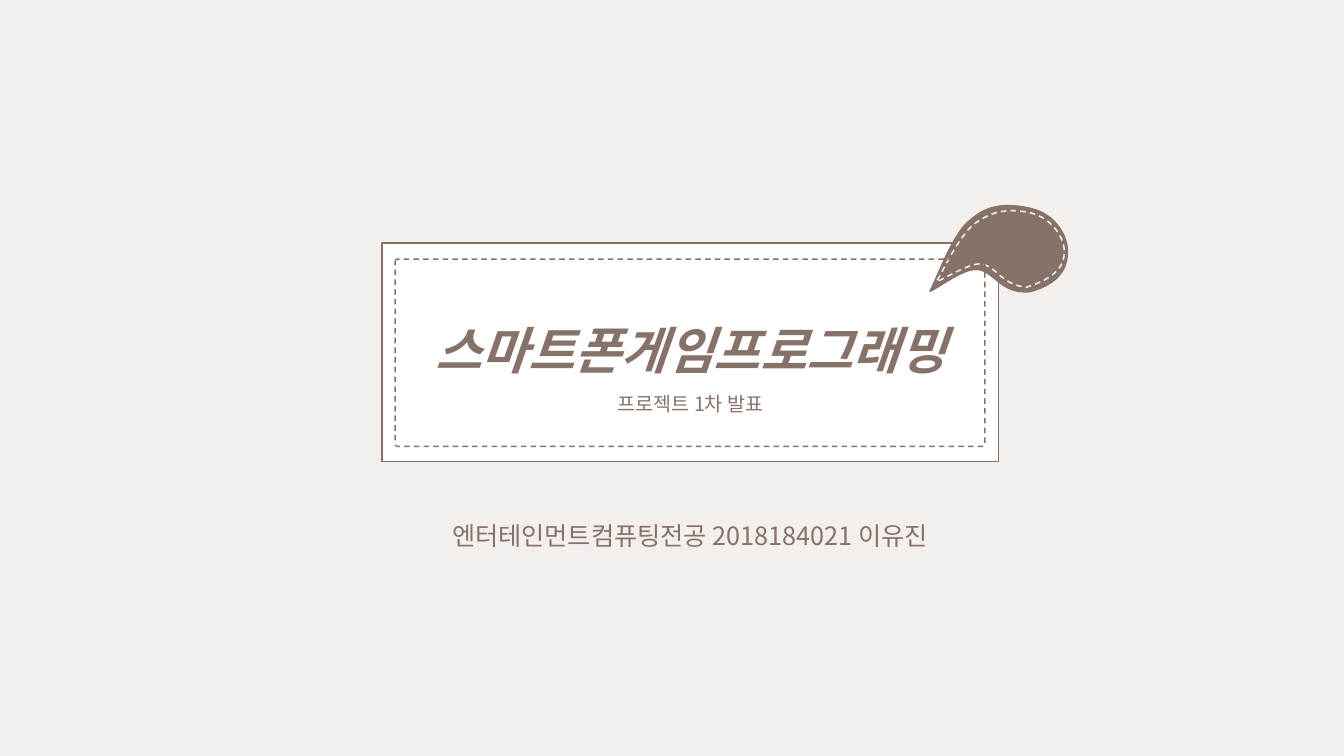
"""Build the title slide of a smartphone game programming talk."""
import pptx
import pptx.util
import pptx.dml.color
import pptx.enum.dml
import pptx.enum.shapes
import pptx.enum.text
import pptx.oxml.ns
import lxml.etree

Cm = pptx.util.Cm
qn = pptx.oxml.ns.qn
COLORS = {"paper": "F3EFEC", "card": "FFFFFF", "brown": "87726A"}
FONT = "Noto Sans CJK KR"


def add_text(paragraph, text, size=18, bold=False, italic=False):
    paragraph.alignment = pptx.enum.text.PP_ALIGN.CENTER
    paragraph.line_spacing = 1.5
    paragraph.space_before = pptx.util.Pt(0)
    run = paragraph.add_run()
    run.text = text
    run.font.name = FONT
    run.font.size = pptx.util.Pt(size)
    run.font.bold = bold
    run.font.italic = italic
    run.font.color.rgb = pptx.dml.color.RGBColor.from_string(COLORS["brown"])
    east_asian = lxml.etree.SubElement(run.font._element, qn("a:ea"))
    east_asian.set("typeface", FONT)


def paint(shape, fill=None, line=None, dashed=False):
    shape.shadow.inherit = False
    for part, color in ((shape.fill, fill), (shape.line.fill, line)):
        if color:
            part.solid()
            part.fore_color.rgb = pptx.dml.color.RGBColor.from_string(COLORS[color])
        else:
            part.background()
    if line:
        shape.line.width = pptx.util.Pt(1)
    if dashed:
        shape.line.dash_style = pptx.enum.dml.MSO_LINE.DASH


deck = pptx.Presentation()
deck.slide_width, deck.slide_height = Cm(33.87), Cm(19.05)
slide = deck.slides.add_slide(deck.slide_layouts[5])
slide.background.fill.solid()
slide.background.fill.fore_color.rgb = pptx.dml.color.RGBColor.from_string(COLORS["paper"])

card = slide.shapes.title
card.left, card.top, card.width, card.height = Cm(9.63), Cm(6.12), Cm(15.54), Cm(5.51)
rounding = lxml.etree.SubElement(card._element.spPr, qn("a:prstGeom"), prst="roundRect")
adjustments = lxml.etree.SubElement(rounding, qn("a:avLst"))
lxml.etree.SubElement(adjustments, qn("a:gd"), name="adj", fmla="val 3600")
paint(card, fill="card", line="brown")
heading = card.text_frame
heading.word_wrap = True
heading.auto_size = pptx.enum.text.MSO_AUTO_SIZE.NONE
heading.vertical_anchor = pptx.enum.text.MSO_ANCHOR.MIDDLE
add_text(heading.paragraphs[0], "스마트폰게임프로그래밍", size=36, bold=True, italic=True)
add_text(heading.add_paragraph(), "프로젝트 1차 발표", size=14)

presenter = slide.shapes.add_textbox(Cm(10.21), Cm(12.6), Cm(14.35), Cm(1.27)).text_frame
presenter.word_wrap = True
presenter.auto_size = pptx.enum.text.MSO_AUTO_SIZE.SHAPE_TO_FIT_TEXT
add_text(presenter.paragraphs[0], "엔터테인먼트컴퓨팅전공 2018184021 이유진")

leaf_curve = [
    (23.44, 7.29), (23.6, 6.99), (24.0, 5.87), (24.43, 5.54), (24.84, 5.18), (25.25, 5.08),
    (25.96, 5.23), (26.64, 5.38), (26.92, 5.97), (26.92, 6.32), (26.92, 6.68), (26.8, 7.14),
    (25.96, 7.37), (25.2, 7.44), (25.02, 6.81), (24.61, 6.81), (24.18, 6.78), (23.27, 7.59),
    (23.44, 7.29),
]
stitch_curve = [
    (23.62, 7.06), (23.72, 6.91), (24.18, 5.92), (24.56, 5.64), (24.94, 5.36), (25.32, 5.23),
    (25.96, 5.36), (26.57, 5.51), (26.85, 6.07), (26.82, 6.38), (26.82, 6.68), (26.62, 7.01),
    (25.86, 7.24), (25.2, 7.16), (25.1, 6.68), (24.71, 6.65), (24.36, 6.63), (23.52, 7.21),
    (23.62, 7.06),
]
leaf = slide.shapes.add_group_shape()
for curve, look in (
    (leaf_curve, {"fill": "brown"}),
    (stitch_curve, {"line": "card", "dashed": True}),
):
    points = [(Cm(x), Cm(y)) for x, y in curve]
    builder = leaf.shapes.build_freeform(*points[0])
    builder.add_line_segments(points[3::3], close=True)
    outline = builder.convert_to_shape()
    sides = list(outline._element.iter(qn("a:lnTo")))
    for index, side in enumerate(sides):
        side.tag = qn("a:cubicBezTo")
        side.clear()
        for x, y in points[3 * index + 1:3 * index + 4]:
            lxml.etree.SubElement(
                side, qn("a:pt"), x=str(x - outline.left), y=str(y - outline.top)
            )
    paint(outline, **look)

stitched_frame = slide.shapes.add_shape(
    pptx.enum.shapes.MSO_SHAPE.ROUNDED_RECTANGLE, Cm(9.96), Cm(6.53), Cm(14.86), Cm(4.72)
)
stitched_frame.adjustments[0] = 0.012
paint(stitched_frame, line="brown", dashed=True)

deck.save("out.pptx")
